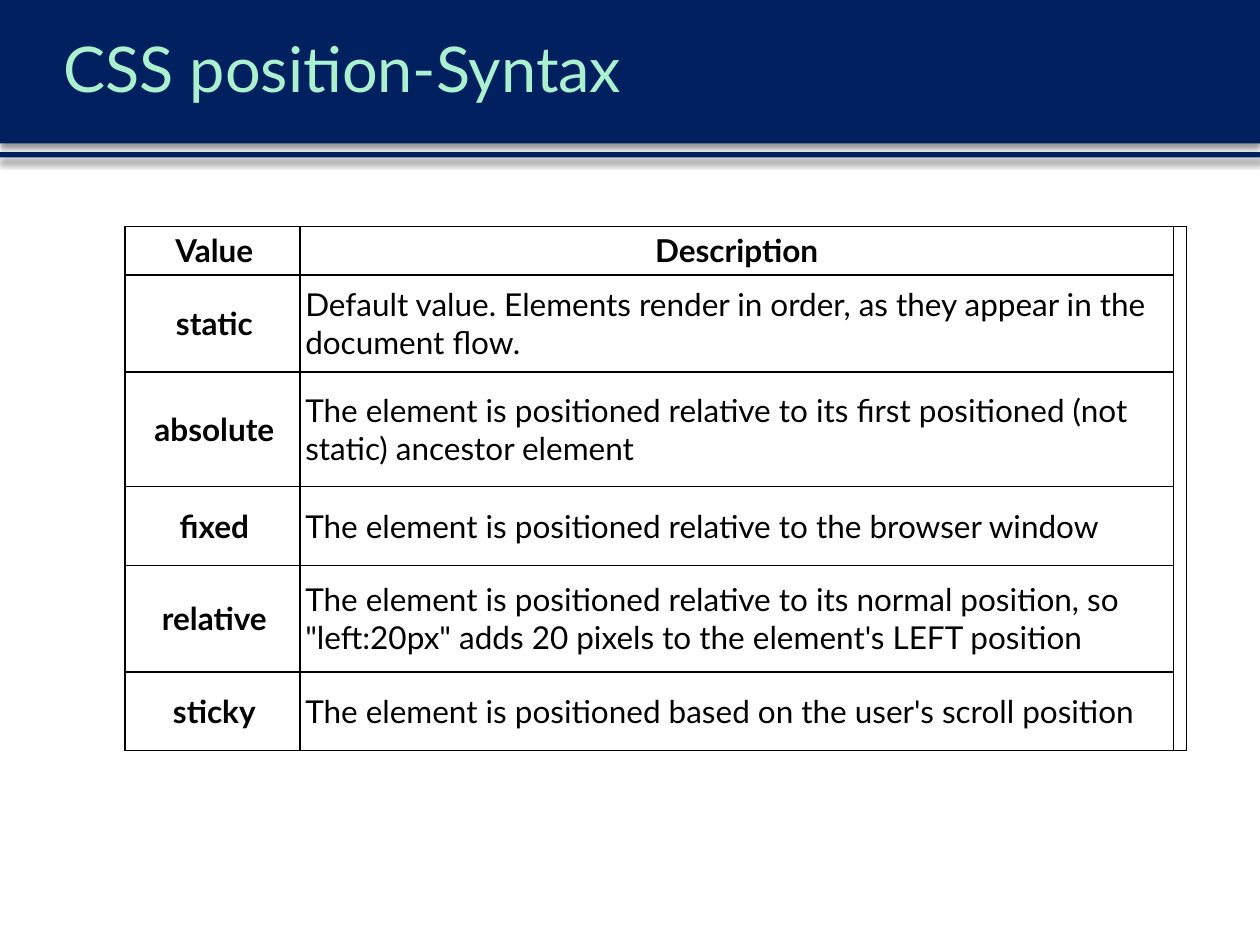
from lxml import etree
from pptx import Presentation
from pptx import util as u
from pptx.dml.color import RGBColor
from pptx.enum import shapes, text
from pptx.oxml import parse_xml
from pptx.oxml.ns import nsdecls, qn

Pt = u.Pt
FONT = "Lato"
NAVY, MINT, BLACK, WHITE = "002060", "ABF1CF", "000000", "FFFFFF"
ROWS = [
    ("Value", "Description"),
    ("static", "Default value. Elements render in order, as they appear in the document flow."),
    ("absolute", "The element is positioned relative to its first positioned (not static) ancestor element"),
    ("fixed", "The element is positioned relative to the browser window"),
    ("relative", "The element is positioned relative to its normal position, so "
                 "\"left:20px\" adds 20 pixels to the element's LEFT position"),
    ("sticky", "The element is positioned based on the user's scroll position"),
]
COLUMN_WIDTHS = (100, 499, 7.5)
ROW_HEIGHTS = (24.5, 55.5, 65.5, 45, 61, 45)


def color(value):
    return RGBColor.from_string(value)


def write(frame, words, size=18, ink=BLACK, bold=False, align=text.PP_ALIGN.LEFT):
    para = frame.paragraphs[0]
    para.alignment = align
    span = para.add_run()
    span.text = words
    span.font.name = FONT
    span.font.size = Pt(size)
    span.font.bold = bold
    span.font.color.rgb = color(ink)
    return para


def add_bar(page, left, top, width, height):
    bar = page.shapes.add_shape(shapes.MSO_SHAPE.RECTANGLE,
                                Pt(left), Pt(top), Pt(width), Pt(height))
    bar.fill.solid()
    bar.fill.fore_color.rgb = color(NAVY)
    bar.line.fill.background()
    # Soft shadow straight below
    bar._element.spPr.append(parse_xml(
        f'<a:effectLst {nsdecls("a")}><a:outerShdw blurRad="{Pt(4)}" dist="{Pt(3)}" '
        f'dir="5400000" rotWithShape="0"><a:srgbClr val="{BLACK}">'
        '<a:alpha val="40000"/></a:srgbClr></a:outerShdw></a:effectLst>'))


def add_header(page, left, top, width, height):
    # Band and the thin rule below it
    add_bar(page, left, top, width, height)
    add_bar(page, left, top + height + 5, width, 3)

    # Title, brought in front of the band
    title = page.shapes.title
    page.shapes._spTree.append(title._element)
    title.left, title.top = Pt(left + 29), Pt(top)
    title.width, title.height = Pt(width - 29), Pt(height)
    frame = title.text_frame
    frame.auto_size = text.MSO_AUTO_SIZE.NONE
    frame.vertical_anchor = text.MSO_ANCHOR.MIDDLE
    para = write(frame, "CSS position-Syntax", size=36, ink=MINT)
    para.line_spacing = 0.9
    para.space_after = Pt(6)


def format_cell(cell, left_inset, side_inset):
    cell.margin_left = Pt(left_inset)
    cell.margin_right = Pt(side_inset)
    cell.margin_top = cell.margin_bottom = Pt(3)
    cell.vertical_anchor = text.MSO_ANCHOR.MIDDLE
    cell.fill.solid()
    cell.fill.fore_color.rgb = color(WHITE)
    # Borders come before the fill in the cell properties
    properties = cell._tc.get_or_add_tcPr()
    for index, side in enumerate(("lnL", "lnR", "lnT", "lnB")):
        line = etree.Element(qn(f"a:{side}"), w=str(Pt(1)))
        fill = etree.SubElement(line, qn("a:solidFill"))
        etree.SubElement(fill, qn("a:srgbClr"), val=BLACK)
        properties.insert(index, line)


def add_values_table(page, left, top):
    graphic = page.shapes.add_table(len(ROWS), len(COLUMN_WIDTHS), Pt(left), Pt(top),
                                    Pt(sum(COLUMN_WIDTHS)), Pt(sum(ROW_HEIGHTS)))
    table = graphic.table
    table.first_row = table.horz_banding = False
    for column, width in zip(table.columns, COLUMN_WIDTHS):
        column.width = Pt(width)

    for number, (value, description) in enumerate(ROWS):
        table.rows[number].height = Pt(ROW_HEIGHTS[number])
        value_cell, description_cell, edge_cell = table.rows[number].cells
        format_cell(value_cell, 5, 3)
        format_cell(description_cell, 3, 3)
        format_cell(edge_cell, 0, 0)
        header = number == 0
        write(value_cell.text_frame, value, bold=True, align=text.PP_ALIGN.CENTER)
        write(description_cell.text_frame, description, bold=header,
              align=text.PP_ALIGN.CENTER if header else text.PP_ALIGN.LEFT)

    # Narrow empty column, one cell from top to bottom
    table.cell(0, 2).merge(table.cell(len(ROWS) - 1, 2))


def main():
    deck = Presentation()
    deck.slide_width, deck.slide_height = Pt(720), Pt(540)
    page = deck.slides.add_slide(deck.slide_layouts.get_by_name("Title Only"))
    add_header(page, 0, 0, 720, 82)
    add_values_table(page, 71.5, 129.5)
    deck.save("out.pptx")


if __name__ == "__main__":
    main()
